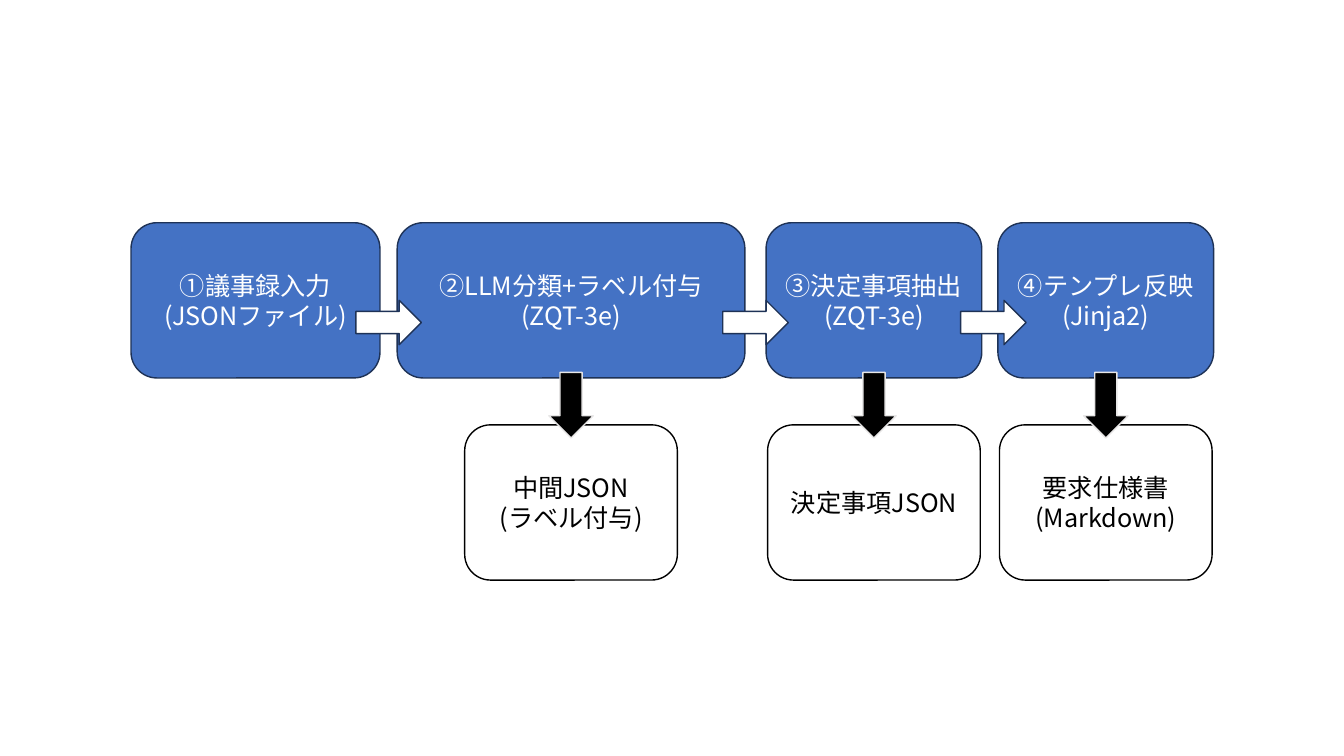
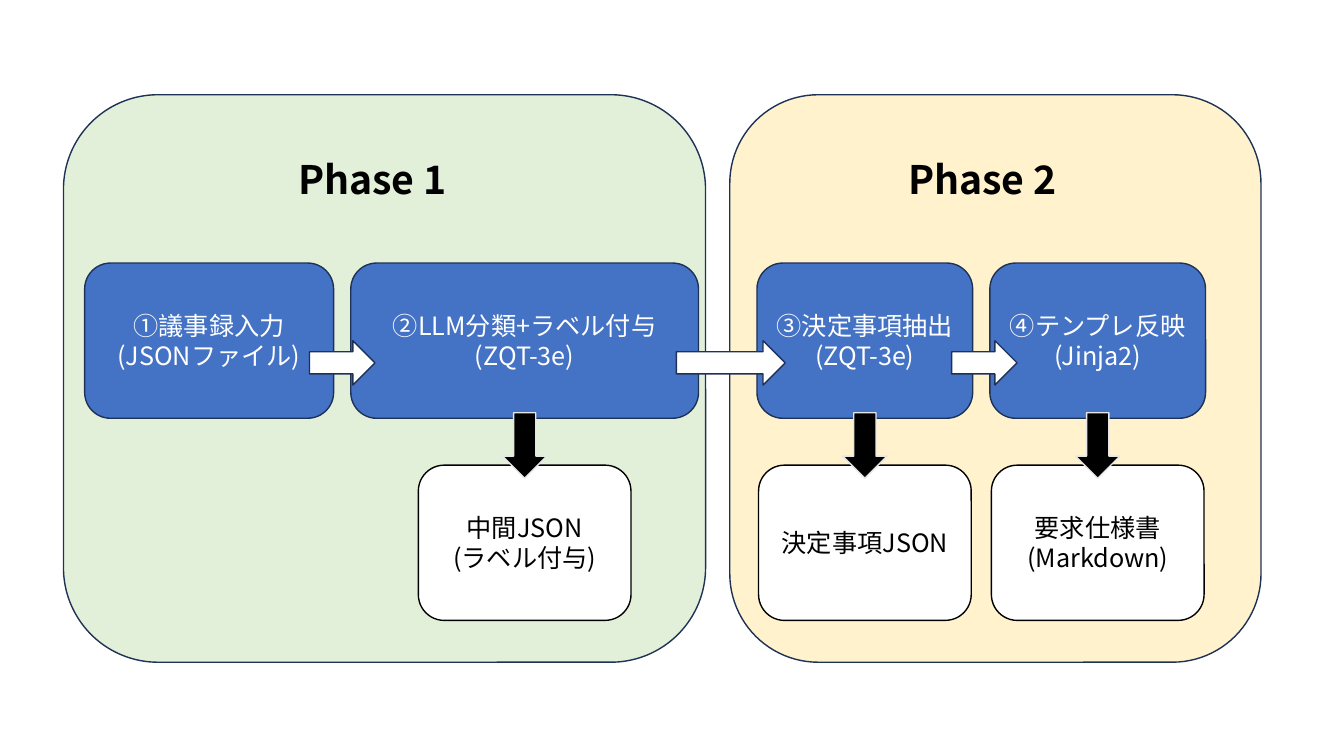
from dataclasses import dataclass

from lxml import etree
from pptx import Presentation
from pptx.dml.color import RGBColor
from pptx.enum.shapes import MSO_SHAPE
from pptx.enum.text import MSO_ANCHOR, MSO_AUTO_SIZE, PP_ALIGN
from pptx.oxml.ns import qn
from pptx.util import Inches, Pt

ROUND = MSO_SHAPE.ROUNDED_RECTANGLE
ARROW = MSO_SHAPE.RIGHT_ARROW
MID = MSO_ANCHOR.MIDDLE
GROW = MSO_AUTO_SIZE.SHAPE_TO_FIT_TEXT
LEFT = PP_ALIGN.LEFT
CENTER = PP_ALIGN.CENTER

FONT = "Noto Sans CJK JP"
CELL = Inches(0.1)
WIDE, HIGH = 133.33, 75
TALL = 15.4
OUT_WIDE = 21.1
OUT_DROP = 20.05
HEAD_LONG, HEAD_HIGH = 6.5, 4.4
FLOW_DROP = 7.7
DOWN_DROP = 15.9
BAND_TOP, BAND_HIGH = 9.4, 56.3
LABEL_TOP, LABEL_HIGH = 14.9, 5.7

WHITE, BLACK = "FFFFFF", "000000"
BLUE, NAVY, GRAY = "4472C4", "1E3256", "E7E6E6"
GREEN, CREAM = "E2F0D9", "FFF2CC"

BODY = {"size": Pt(18), "bold": False, "name": FONT}
HEAD = {"size": Pt(28), "bold": True, "name": FONT}


@dataclass
class Box:
    left: float
    top: float
    wide: float
    high: float


@dataclass
class Look:
    fill: str
    line: str


@dataclass
class Step:
    text: str
    wide: float
    lap: float
    out: str = ""


@dataclass
class Phase:
    text: str
    left: float
    wide: float
    fill: str
    label: float
    span: float


@dataclass
class Page:
    top: float
    lefts: list[float]
    flows: list[float]
    phases: list[Phase]


STEP = Look(BLUE, NAVY)
OUT = Look(WHITE, BLACK)
FLOW = Look(WHITE, NAVY)
DOWN = Look(BLACK, GRAY)

STEPS = [
    Step("①議事録入力\n(JSONファイル)", 24.7, 2.4),
    Step("②LLM分類+ラベル付与\n(ZQT-3e)", 34.5, 2.2, "中間JSON\n(ラベル付与)"),
    Step("③決定事項抽出\n(ZQT-3e)", 21.4, 2.1, "決定事項JSON"),
    Step("④テンプレ反映\n(Jinja2)", 21.4, 0, "要求仕様書\n(Markdown)"),
]

PAGES = [
    Page(22.1, [13, 39.4, 76, 99], [HEAD_LONG] * 3, []),
    Page(26.1, [8.4, 34.8, 75.1, 98.2], [HEAD_LONG, 10.8, HEAD_LONG], [
        Phase("Phase 1", 6.3, 63.7, GREEN, 28.6, 17.3),
        Phase("Phase 2", 72.4, 52.7, CREAM, 89.1, 18.2),
    ]),
]


def cell(count: float) -> int:
    return round(count * CELL)


def place(box: Box) -> list[int]:
    return [cell(n) for n in (box.left, box.top, box.wide, box.high)]


def color(code: str) -> RGBColor:
    return RGBColor.from_string(code)


def write(frame, text: str, style: dict, tint: str, align) -> None:
    frame.text = text
    for para in frame.paragraphs:
        para.alignment = align
        for run in para.runs:
            for key, value in style.items():
                setattr(run.font, key, value)
            run.font.color.rgb = color(tint)
            east = etree.SubElement(run.font._element, qn("a:ea"))
            east.set("typeface", FONT)


def draw(slide, kind, box: Box, look: Look):
    shape = slide.shapes.add_shape(kind, *place(box))
    shape.shadow.inherit = False
    shape.fill.solid()
    shape.fill.fore_color.rgb = color(look.fill)
    shape.line.color.rgb = color(look.line)
    shape.line.width = Pt(1)
    return shape


def card(slide, box: Box, look: Look, text: str, tint: str) -> None:
    frame = draw(slide, ROUND, box, look).text_frame
    frame.vertical_anchor = MID
    write(frame, text, BODY, tint, CENTER)


def band(slide, phase: Phase) -> None:
    area = Box(phase.left, BAND_TOP, phase.wide, BAND_HIGH)
    draw(slide, ROUND, area, Look(phase.fill, NAVY))
    spot = Box(phase.label, LABEL_TOP, phase.span, LABEL_HIGH)
    frame = slide.shapes.add_textbox(*place(spot)).text_frame
    write(frame, phase.text, HEAD, BLACK, LEFT)
    frame.word_wrap = False
    frame.auto_size = GROW


def result(slide, step: Step, left: float, top: float) -> None:
    mid = left + step.wide / 2
    area = Box(mid - OUT_WIDE / 2, top + OUT_DROP, OUT_WIDE, TALL)
    card(slide, area, OUT, step.out, BLACK)
    spot = Box(mid - HEAD_LONG / 2, top + DOWN_DROP, HEAD_LONG, HEAD_HIGH)
    draw(slide, ARROW, spot, DOWN).rotation = 90


def build(slide, page: Page) -> None:
    for phase in page.phases:
        band(slide, phase)
    for step, left in zip(STEPS, page.lefts):
        card(slide, Box(left, page.top, step.wide, TALL), STEP, step.text, WHITE)
        if step.out:
            result(slide, step, left, page.top)
    for step, left, long in zip(STEPS, page.lefts, page.flows):
        start = left + step.wide - step.lap
        draw(slide, ARROW, Box(start, page.top + FLOW_DROP, long, HEAD_HIGH), FLOW)


def main() -> None:
    deck = Presentation()
    deck.slide_width, deck.slide_height = cell(WIDE), cell(HIGH)
    blank = deck.slide_layouts[6]
    for page in PAGES:
        build(deck.slides.add_slide(blank), page)
    deck.save("out.pptx")


if __name__ == "__main__":
    main()
